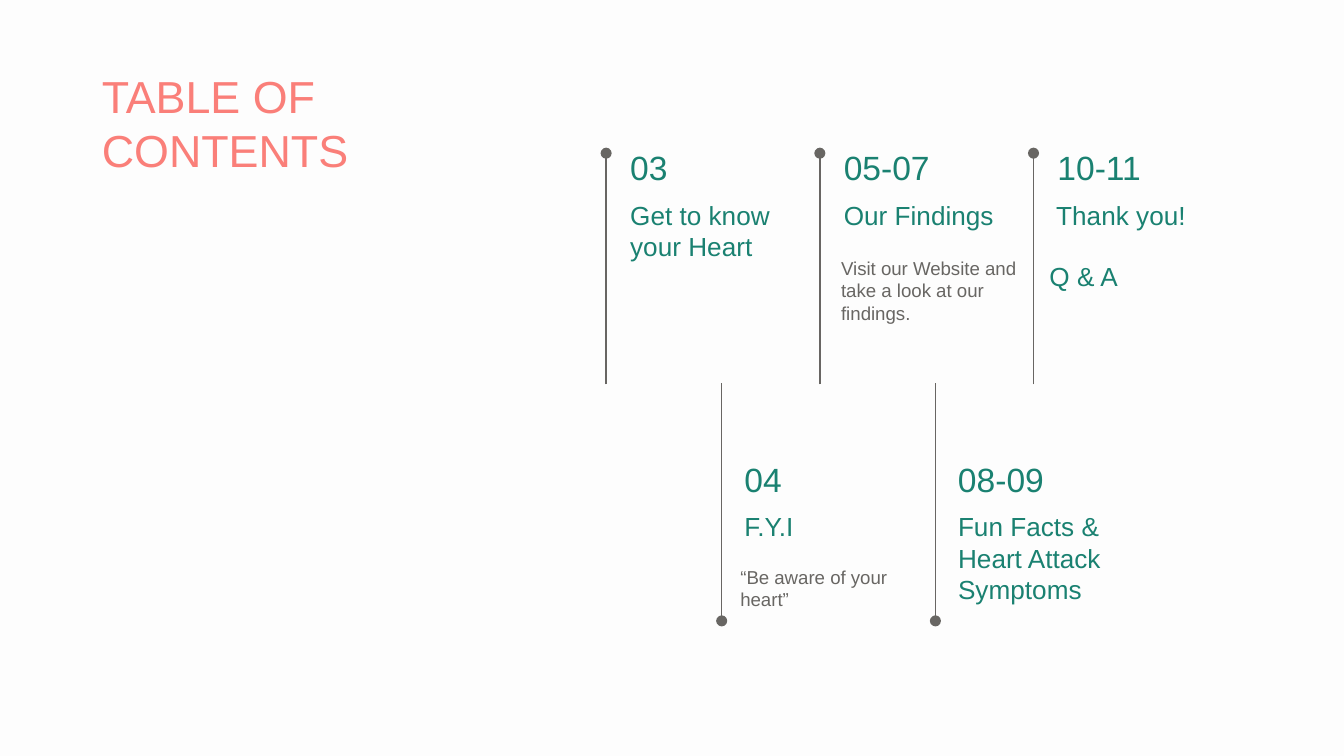
"""Build a table of contents slide laid out as a two-row timeline."""
from dataclasses import dataclass

from lxml import etree
from pptx import Presentation
from pptx import util as u
from pptx.dml.color import RGBColor
from pptx.enum import shapes, text
from pptx.oxml.ns import qn


@dataclass(frozen=True)
class Theme:
    """Colours, font and type sizes of the slide."""
    font: str = "Arial"
    background: str = "FDFDFD"
    coral: str = "FA7F79"
    green: str = "1A8171"
    grey: str = "686663"
    title: int = 24
    number: int = 18
    heading: int = 14
    note: int = 10
    gap: int = 16
    stem: float = 0.75


class SlideBuilder:
    """Draws styled elements on the current slide."""

    def __init__(self, page, theme):
        """Keep the slide and style, and paint the background."""
        self.page, self.theme = page, theme
        fill = page.background.fill
        fill.solid()
        fill.fore_color.rgb = RGBColor.from_string(theme.background)

    def label(self, place, lines, size, color, middle=False):
        """Add a text box with one paragraph per line."""
        box = self.page.shapes.add_textbox(*(u.Inches(n) for n in place))
        frame = box.text_frame
        frame.word_wrap = True
        frame.margin_left = frame.margin_right = u.Inches(0.1)
        frame.margin_top = frame.margin_bottom = u.Inches(0.1)
        frame.vertical_anchor = text.MSO_ANCHOR.MIDDLE if middle else text.MSO_ANCHOR.TOP
        for index, line in enumerate(lines):
            para = frame.add_paragraph() if index else frame.paragraphs[0]
            if index:
                para.space_before = u.Pt(self.theme.gap)
            span = para.add_run()
            span.text = line
            span.font.name = self.theme.font
            span.font.size = u.Pt(size)
            span.font.color.rgb = RGBColor.from_string(color)

    def stem(self, x, start, end):
        """Add a vertical line that ends in a dot."""
        stem = self.page.shapes.add_connector(
            shapes.MSO_CONNECTOR.STRAIGHT,
            u.Inches(x), u.Inches(start), u.Inches(x), u.Inches(end))
        stem.line.width = u.Pt(self.theme.stem)
        stem.line.color.rgb = RGBColor.from_string(self.theme.grey)
        properties = stem._element.spPr
        etree.SubElement(properties.find(qn("a:ln")), qn("a:tailEnd"), type="oval")
        etree.SubElement(properties, qn("a:effectLst"))

    def title(self, place, words):
        """Add the slide title."""
        self.label(place, [words], self.theme.title, self.theme.coral)

    def entry(self, x, y, number, headings, shift=0):
        """Add a page number with its headings below."""
        theme = self.theme
        self.label((x, y, 1.16, 0.59), [number], theme.number, theme.green, middle=True)
        self.label((x + shift, y + 0.43, 1.55, 0.55), headings, theme.heading, theme.green)

    def note(self, x, y, words):
        """Add a small remark under an entry."""
        self.label((x, y, 1.51, 0.38), [words], self.theme.note, self.theme.grey)


def main():
    """Build and save the deck."""
    deck = Presentation()
    deck.slide_width = u.Inches(10)
    deck.slide_height = deck.slide_width * 9 // 16
    slide = SlideBuilder(deck.slides.add_slide(deck.slide_layouts[6]), Theme())
    slide.title((0.66, 0.41, 2.86, 1.46), "TABLE OF CONTENTS")

    pitch = 1.59
    upper = [("03", ["Get to know your Heart"], 0),
             ("05-07", ["Our Findings"], 0),
             ("10-11", [" Thank you!", "Q & A"], -0.06)]
    lower = [("04", ["F.Y.I"], 0),
             ("08-09", ["Fun Facts & Heart Attack Symptoms"], 0)]
    rows = [(upper, 4.59, 0.95, 4.51, 2.86, 1.14),
            (lower, 5.44, 3.27, 5.37, 2.85, 4.62)]
    for entries, left, top, stem_left, start, end in rows:
        for column, (number, headings, shift) in enumerate(entries):
            offset = column * pitch
            slide.entry(left + offset, top, number, headings, shift)
            slide.stem(stem_left + offset, start, end)

    slide.note(6.16, 1.81, "Visit our Website and take a look at our findings.")
    slide.note(5.41, 4.11, "“Be aware of your heart”")
    deck.save("out.pptx")


if __name__ == "__main__":
    main()
